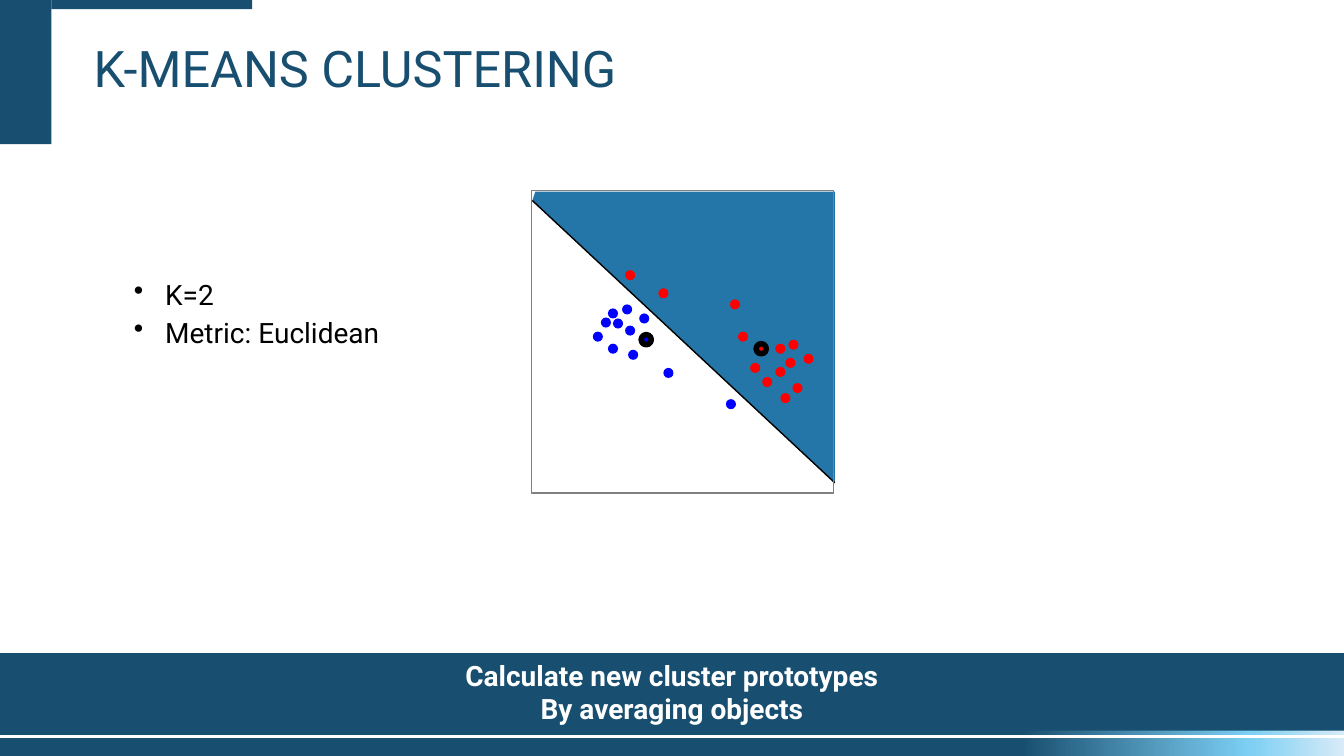
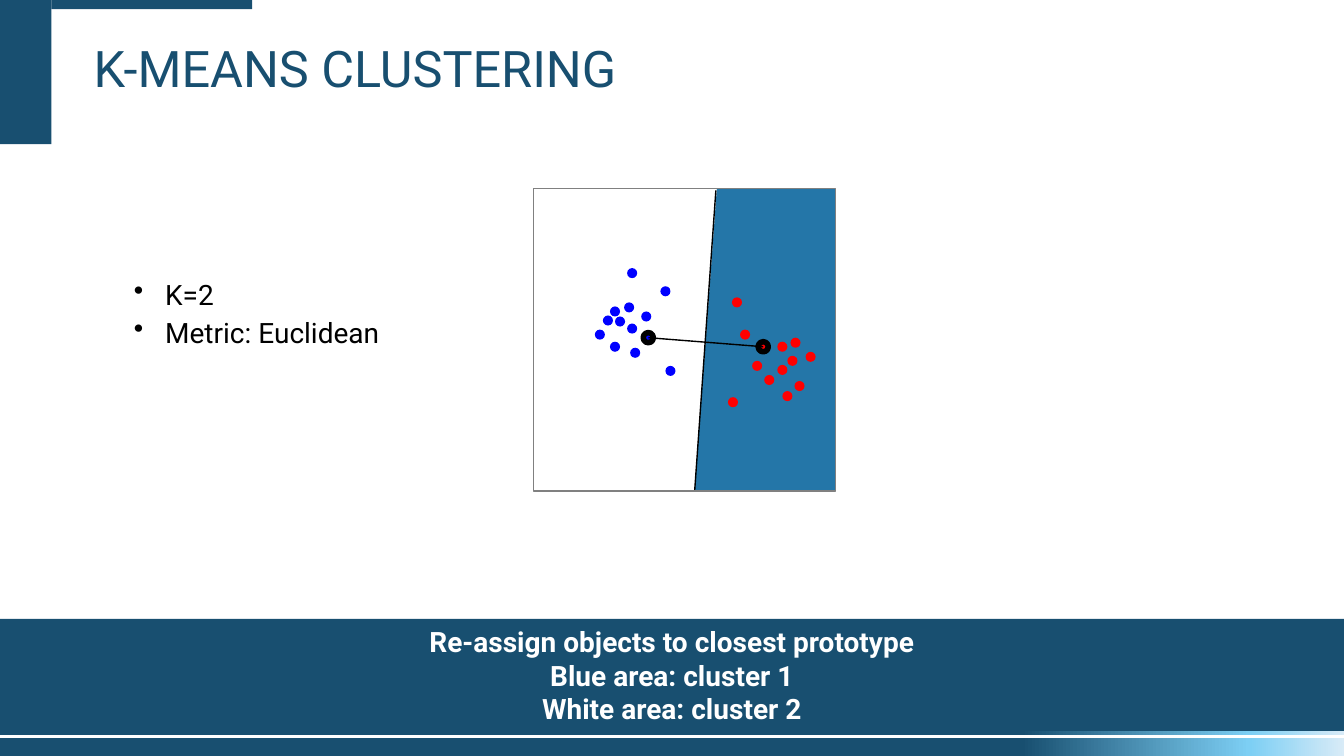
"""Build two slides that show successive steps of k-means clustering."""
from copy import deepcopy

from pptx import Presentation
from pptx.dml.color import RGBColor
from pptx.enum.shapes import MSO_CONNECTOR, MSO_SHAPE
from pptx.enum.text import MSO_ANCHOR, PP_ALIGN
from pptx.oxml.ns import qn
from pptx.oxml.xmlchemy import OxmlElement
from pptx.util import Pt

SCALE = 9144
WIDTH, HEIGHT = 1333, 750
NAVY = RGBColor(0x18, 0x4F, 0x70)
AREA_BLUE = RGBColor(0x24, 0x76, 0xA8)
SKY = RGBColor(0x7D, 0xCF, 0xF4)
PALE = RGBColor(0xD8, 0xEB, 0xF7)
WHITE = RGBColor(0xFF, 0xFF, 0xFF)
BLACK = RGBColor(0x00, 0x00, 0x00)
GRAY = RGBColor(0x80, 0x80, 0x80)
RED = RGBColor(0xFF, 0x00, 0x00)
BLUE = RGBColor(0x00, 0x00, 0xFF)
FONT = "Roboto"
FADE = ((0.76, NAVY), (0.93, SKY), (1.0, PALE))

PLOT_SIZE, DOT_SIZE = 300, 10
RIGHT_DOTS = [(205, 140), (217, 171), (242, 175), (255, 148), (197, 108), (247, 201),
              (259, 191), (252, 166), (229, 185), (242, 152), (270, 162)]
LEFT_DOTS = [(69, 126), (96, 158), (107, 122), (131, 176), (90, 113),
             (81, 127), (76, 117), (93, 134), (76, 152), (61, 140)]
UPPER_DOTS = [(126, 97), (93, 79)]
LOWER_DOTS = [(193, 207)]
PROTOTYPES = [((223, 152), RED), ((109, 143), BLUE)]
PROTOTYPE_LINK = [(114, 148), (228, 157)]


def emu(*lengths):
    """Turn px lengths into EMU."""
    return [length * SCALE for length in lengths]


def add_box(page, box, kind=MSO_SHAPE.RECTANGLE, fill=None, line=None, line_width=1):
    """Add a preset shape with an optional fill and outline."""
    shape = page.shapes.add_shape(kind, *emu(*box))
    style_shape(shape, fill, line, line_width)
    return shape


def style_shape(shape, fill=None, line=None, line_width=1):
    """Set the fill and outline of a shape and drop its shadow."""
    shape.shadow.inherit = False
    if fill is None:
        shape.fill.background()
    else:
        shape.fill.solid()
        shape.fill.fore_color.rgb = fill
    if line is None:
        shape.line.fill.background()
    else:
        shape.line.color.rgb = line
        shape.line.width = Pt(line_width)


def add_line(page, origin, points):
    """Add a thin black line between two points relative to an origin."""
    left, top = origin
    ends = [length for x, y in points for length in (left + x, top + y)]
    line = page.shapes.add_connector(MSO_CONNECTOR.STRAIGHT, *emu(*ends))
    line.line.color.rgb = BLACK
    line.line.width = Pt(1)
    line._element.spPr.append(OxmlElement("a:effectLst"))


def add_text(shape, text, size=20, color=BLACK, bold=False, align=PP_ALIGN.LEFT,
             anchor=MSO_ANCHOR.TOP, spacing=1.0, bullet=None, indent=0):
    """Write one paragraph for each line of text."""
    frame = shape.text_frame
    frame.word_wrap = True
    frame.vertical_anchor = anchor
    for index, content in enumerate(text.split("\n")):
        para = frame.add_paragraph() if index else frame.paragraphs[0]
        if bullet:
            properties = para._p.get_or_add_pPr()
            properties.set("marL", str(indent * SCALE))
            properties.set("indent", str(-indent * SCALE))
            mark = OxmlElement("a:buChar")
            mark.set("char", bullet)
            properties.append(mark)
        para.alignment = align
        para.line_spacing = spacing
        span = para.add_run()
        span.text = content
        span.font.name = FONT
        span.font.size = Pt(size)
        span.font.bold = bold
        span.font.color.rgb = color


def add_fading_bar(page, box):
    """Add a bar that fades from navy to pale blue at its right end."""
    bar = add_box(page, box)
    bar.fill.gradient()
    bar.fill.gradient_angle = 0
    first = bar._element.spPr.find(".//" + qn("a:gs"))
    first.addnext(deepcopy(first))
    for stop, (position, color) in zip(bar.fill.gradient_stops, FADE):
        stop.position = position
        stop.color.rgb = color


def add_theme(page):
    """Add the corner blocks, footer bars and title that every slide has."""
    for box in ((0, 732, WIDTH, 18), (0, 724, WIDTH, 5)):
        add_fading_bar(page, box)
    for box in ((0, 0, 51, 143), (51, 0, 199, 9)):
        add_box(page, box, fill=NAVY)
    title = page.shapes.add_textbox(*emu(83, 39, 942, 121))
    add_text(title, "K-MEANS CLUSTERING", size=36, color=NAVY, spacing=0.9)


def add_plot(page, origin, region, boundary, red_dots, blue_dots, link=None):
    """Draw the clusters, their prototypes and the boundary in a square frame."""
    left, top = origin
    builder = page.shapes.build_freeform(*region[0], scale=SCALE)
    builder.add_line_segments(region[1:], close=True)
    style_shape(builder.convert_to_shape(*emu(left, top)), fill=AREA_BLUE)
    add_line(page, origin, boundary)
    add_box(page, (left, top, PLOT_SIZE, PLOT_SIZE), line=GRAY)
    for (x, y), color in PROTOTYPES:
        add_box(page, (left + x, top + y, DOT_SIZE, DOT_SIZE), MSO_SHAPE.OVAL,
                fill=color, line=BLACK, line_width=4)
    if link:
        add_line(page, origin, link)
    for dots, color in ((red_dots, RED), (blue_dots, BLUE)):
        for x, y in dots:
            add_box(page, (left + x, top + y, DOT_SIZE, DOT_SIZE), MSO_SHAPE.OVAL, fill=color)


def add_caption(page, text):
    """Add the navy caption band, as tall as its lines need."""
    height = 34 * len(text.split("\n")) + 9
    band = add_box(page, (0, 725 - height, WIDTH, height), fill=NAVY)
    add_text(band, text, color=WHITE, bold=True, align=PP_ALIGN.CENTER,
             anchor=MSO_ANCHOR.MIDDLE)


def add_step(deck, caption, **plot):
    """Add one slide that shows a step of the algorithm."""
    page = deck.slides.add_slide(deck.slide_layouts[6])
    add_theme(page)
    add_plot(page, **plot)
    add_caption(page, caption)
    settings = page.shapes.add_textbox(*emu(123, 266, 283, 84))
    add_text(settings, "K=2\nMetric: Euclidean", spacing=1.13, bullet="•", indent=31)


def main():
    """Build and save the deck."""
    deck = Presentation()
    deck.slide_width, deck.slide_height = emu(WIDTH, HEIGHT)
    add_step(
        deck, "Calculate new cluster prototypes\nBy averaging objects",
        origin=(527, 189),
        region=[(1, 10), (4, 1), (301, 1), (301, 290)],
        boundary=[(301, 290), (1, 10)],
        red_dots=RIGHT_DOTS + UPPER_DOTS,
        blue_dots=LEFT_DOTS + LOWER_DOTS,
    )
    add_step(
        deck,
        "Re-assign objects to closest prototype\nBlue area: cluster 1\nWhite area: cluster 2",
        origin=(529, 187),
        region=[(182, 0), (299, 0), (299, 299), (160, 300)],
        boundary=[(160, 300), (181, 2)],
        red_dots=RIGHT_DOTS + LOWER_DOTS,
        blue_dots=LEFT_DOTS + UPPER_DOTS,
        link=PROTOTYPE_LINK,
    )
    deck.save("out.pptx")


if __name__ == "__main__":
    main()
